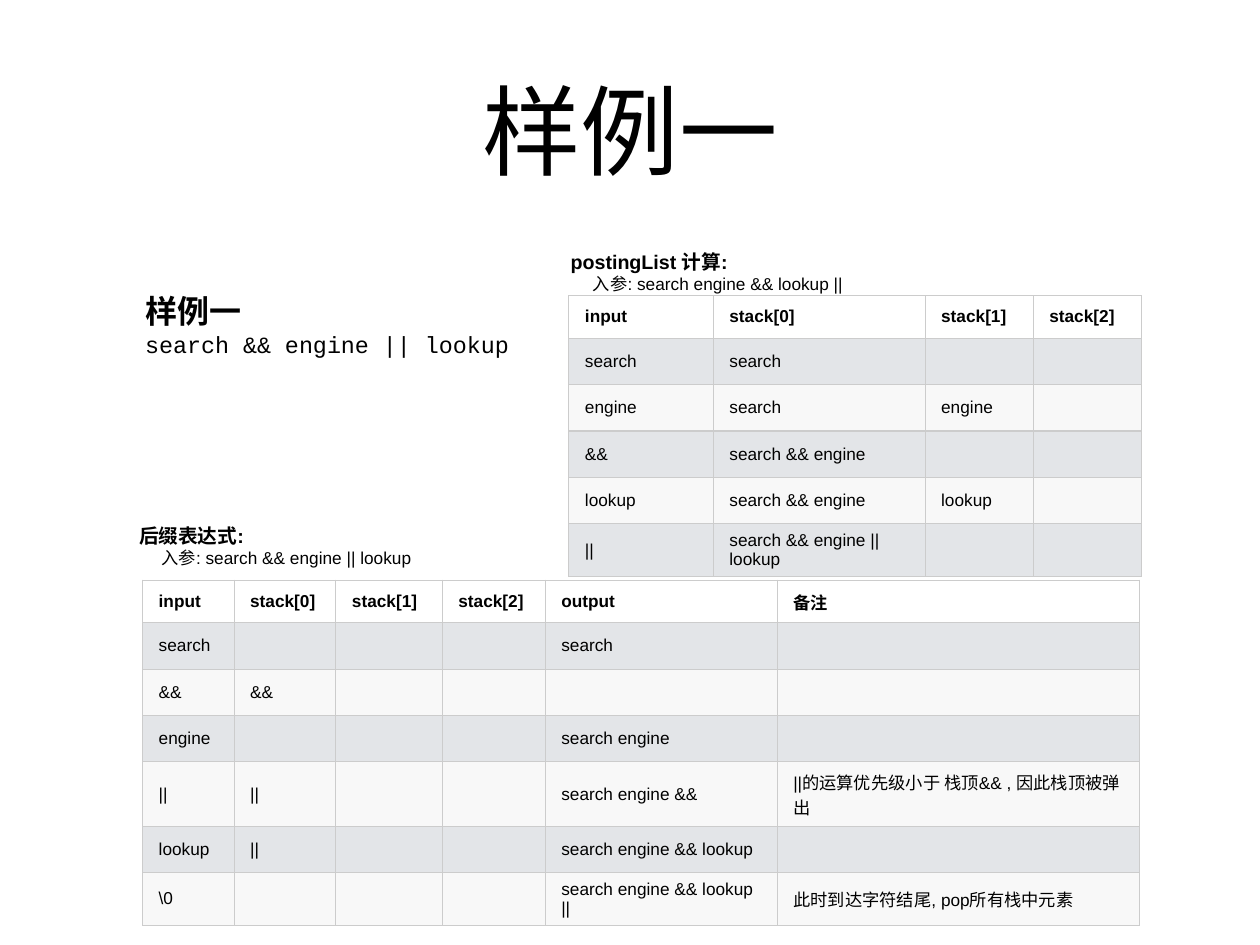
"""Build the slide that traces a boolean query through its two stack tables."""
import lxml.etree
import pptx
import pptx.dml.color
import pptx.enum.text
import pptx.oxml.ns
import pptx.util

Cm = pptx.util.Cm
MIDDLE = pptx.enum.text.MSO_ANCHOR.MIDDLE
COLOURS = {"text": "000000", "header": "FFFFFF", "odd": "E3E5E8", "even": "F8F8F8", "border": "CCCCCC"}
INSETS = {"margin_left": Cm(0.15), "margin_right": Cm(0.15), "margin_top": Cm(0.15), "margin_bottom": Cm(0.15)}
CELL_FORMAT = {"margin_left": Cm(0.46), "margin_right": Cm(0.46), "margin_top": Cm(0.2),
               "margin_bottom": Cm(0.2), "vertical_anchor": MIDDLE}


def write(para, text, size, name="Arial", bold=False):
    """Add one formatted span of text to a paragraph."""
    span = para.add_run()
    span.text = text
    for key, value in {"size": pptx.util.Pt(size), "name": name, "bold": bold}.items():
        setattr(span.font, key, value)
    span.font.color.rgb = pptx.dml.color.RGBColor.from_string(COLOURS["text"])


def add_borders(cell):
    """Draw a thin line on all four sides of a cell."""
    properties = cell._tc.get_or_add_tcPr()
    for side in ("lnL", "lnR", "lnT", "lnB"):
        line = lxml.etree.SubElement(properties, pptx.oxml.ns.qn(f"a:{side}"), w="12700")
        fill = lxml.etree.SubElement(line, pptx.oxml.ns.qn("a:solidFill"))
        lxml.etree.SubElement(fill, pptx.oxml.ns.qn("a:srgbClr"), val=COLOURS["border"])


deck = pptx.Presentation()
deck.slide_width = Cm(36.12)
deck.slide_height = Cm(27.1)
page = deck.slides.add_slide(deck.slide_layouts[5])

title = page.shapes.title
for key, value in {"left": Cm(2.64), "top": Cm(0.71), "width": Cm(30.84), "height": Cm(5.99)}.items():
    setattr(title, key, value)
title_format = {**INSETS, "vertical_anchor": MIDDLE, "auto_size": pptx.enum.text.MSO_AUTO_SIZE.NONE}
for key, value in title_format.items():
    setattr(title.text_frame, key, value)
title_para = title.text_frame.paragraphs[0]
title_para.alignment = pptx.enum.text.PP_ALIGN.CENTER
write(title_para, "样例一", 80, "Roboto")

postfix_rows = [
    ["input", "stack[0]", "stack[1]", "stack[2]", "output", "备注"],
    ["search", "", "", "", "search", ""],
    ["&&", "&&", "", "", "", ""],
    ["engine", "", "", "", "search engine", ""],
    ["||", "||", "", "", "search engine &&", "||的运算优先级小于 栈顶&& , 因此栈顶被弹出"],
    ["lookup", "||", "", "", "search engine && lookup", ""],
    ["\\0", "", "", "", "search engine && lookup ||", "此时到达字符结尾, pop所有栈中元素"],
]
posting_rows = [
    ["input", "stack[0]", "stack[1]", "stack[2]"],
    ["search", "search", "", ""],
    ["engine", "search", "engine", ""],
    ["&&", "search && engine", "", ""],
    ["lookup", "search && engine", "lookup", ""],
    ["||", "search && engine || lookup", "", ""],
]
tables = [
    (4.09, 16.64, [2.62, 2.92, 3.05, 2.95, 6.65, 10.39], postfix_rows),
    (16.31, 8.48, [4.14, 6.07, 3.1, 3.1], posting_rows),
]
for left, top, widths, rows in tables:
    height = 1.22 + 1.33 * (len(rows) - 1)
    frame = page.shapes.add_table(len(rows), len(widths), Cm(left), Cm(top), Cm(sum(widths)), Cm(height))
    grid = frame.table
    grid.first_row = grid.horz_banding = False
    for column, width in zip(grid.columns, widths):
        column.width = Cm(width)
    for number, texts in enumerate(rows):
        is_header = number == 0
        grid.rows[number].height = Cm(1.22 if is_header else 1.33)
        shade = "header" if is_header else ("even", "odd")[number % 2]
        for position, text in enumerate(texts):
            cell = grid.cell(number, position)
            add_borders(cell)
            cell.fill.solid()
            cell.fill.fore_color.rgb = pptx.dml.color.RGBColor.from_string(COLOURS[shade])
            for key, value in CELL_FORMAT.items():
                setattr(cell, key, value)
            if text:
                write(cell.text_frame.paragraphs[0], text, 14, bold=is_header)

captions = [
    (4.01, 7.8, 11.18, 3.61, 0.72, ("样例一", 26), ("search && engine || lookup", 19, "Courier New"), 0),
    (3.84, 14.45, 8.26, 2.97, 0.72, ("后缀表达式:", 16), ("入参: search && engine || lookup", 14), 0.64),
    (16.21, 6.63, 8.26, 2.36, 0.15, ("postingList 计算:", 16), ("入参: search engine && lookup ||", 14), 0.64),
]
for left, top, width, height, bottom, heading, detail, indent in captions:
    box = page.shapes.add_textbox(Cm(left), Cm(top), Cm(width), Cm(height))
    box_format = {**INSETS, "margin_bottom": Cm(bottom), "vertical_anchor": MIDDLE, "word_wrap": True}
    for key, value in box_format.items():
        setattr(box.text_frame, key, value)
    write(box.text_frame.paragraphs[0], *heading, bold=True)
    para = box.text_frame.add_paragraph()
    write(para, *detail)
    if indent:
        para.level = 1
        properties = para._p.get_or_add_pPr()
        properties.set("marL", "0")
        properties.set("indent", str(Cm(indent)))

deck.save("out.pptx")
